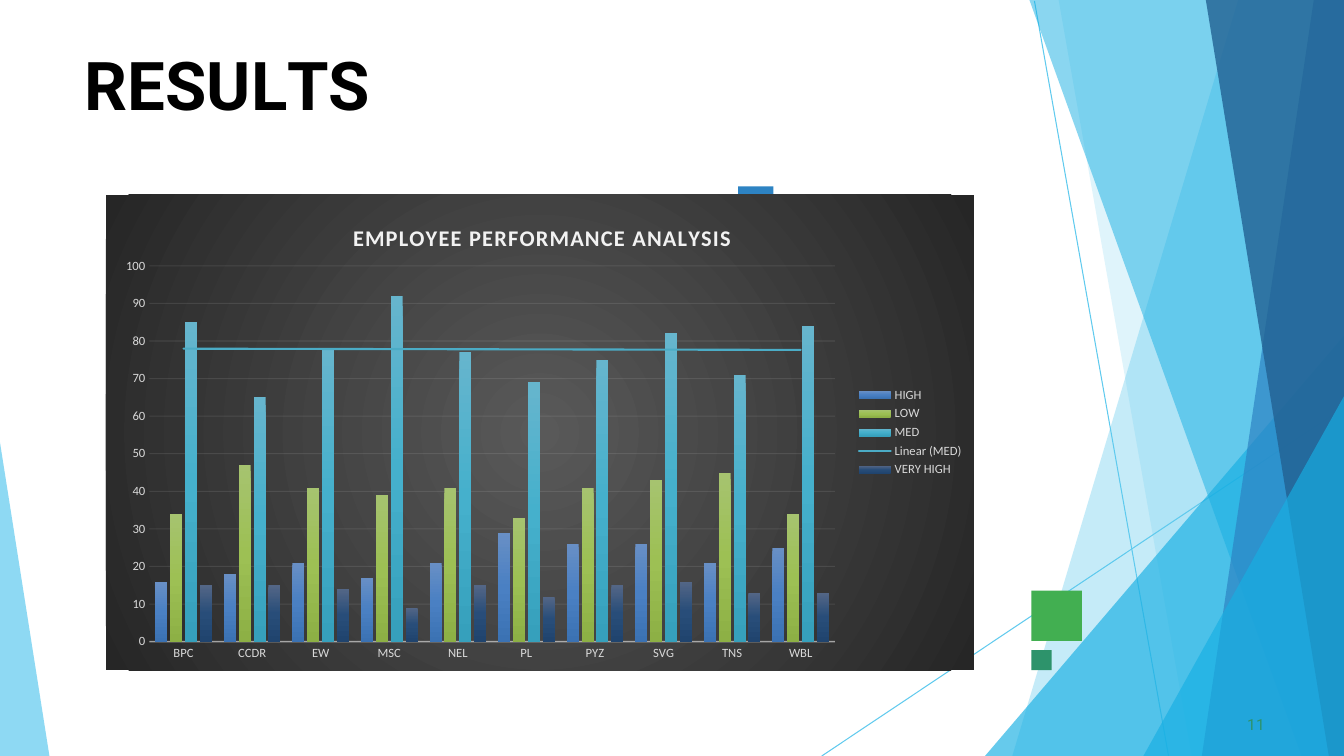
from dataclasses import dataclass

from lxml.etree import SubElement
from pptx import Presentation
from pptx.chart.data import CategoryChartData
from pptx.dml.color import RGBColor
from pptx.enum.chart import XL_CHART_TYPE, XL_LEGEND_POSITION, XL_TICK_MARK
from pptx.enum.shapes import MSO_CONNECTOR, MSO_SHAPE
from pptx.oxml import parse_xml
from pptx.oxml.ns import nsdecls, qn
from pptx.util import Inches, Pt

W, H = 13.33, 7.5


@dataclass
class Facet:
    points: list[tuple[float, float]]
    color: str
    alpha: int


@dataclass
class Box:
    left: float
    top: float
    size: float
    color: str


@dataclass
class Series:
    name: str
    vals: list[int]
    stops: list[tuple[int, str]]


@dataclass
class Label:
    left: float
    top: float
    width: float
    height: float
    indent: float
    before: float
    size: int
    color: str
    bold: bool
    runs: list[tuple[str, float]]


RAYS = [(10.26, 0.01, 11.59, H), (W, 4.04, 8.15, H)]
FACETS = [
    Facet([(W, 0), (12.28, 0), (10.04, H), (W, H)], "5FCAEE", 36),
    Facet([(W, 0), (10.5, 0), (11.82, H), (W, H)], "5FCAEE", 20),
    Facet([(W, 3.33), (9.77, H), (W, H)], "17AFE3", 66),
    Facet([(W, 0), (10.21, 0), (12.91, H), (W, H)], "17AFE3", 50),
    Facet([(W, 0), (13.03, 0), (11.92, H), (W, H)], "2D83C3", 70),
    Facet([(W, 0), (11.96, 0), (13.18, H), (W, H)], "226192", 80),
    Facet([(W, 3.93), (11.34, H), (W, H)], "17AFE3", 66),
    Facet([(0, 4.39), (0, H), (0.49, H)], "5FCAEE", 70),
]
BOXES = [
    Box(10.23, 5.86, 0.5, "42AF51"),
    Box(7.32, 1.85, 0.35, "2D83C3"),
    Box(10.23, 6.45, 0.2, "2D936B"),
]
LABELS = [
    Label(0.83, 0.42, 3.98, 0.6, 0.01, 1.1, 48, "000000", True,
          [("R", 0), ("E", -0.4), ("S", 0.1), ("U", -0.3), ("L", -4), ("TS", 0)]),
    Label(12.33, 7.08, 0.25, 0.15, 0.04, 0.6, 11, "2D936B", False, [("11", 0.1)]),
]
CATS = ["BPC", "CCDR", "EW", "MSC", "NEL", "PL", "PYZ", "SVG", "TNS", "WBL"]
SERIES = [
    Series("HIGH", [16, 18, 21, 17, 21, 29, 26, 26, 21, 25],
           [(0, "688FC5"), (50, "4A80C3"), (100, "3B72B3")]),
    Series("LOW", [34, 47, 41, 39, 41, 33, 41, 43, 45, 34],
           [(0, "A6C36F"), (50, "9DC054"), (100, "8DB045")]),
    Series("MED", [85, 65, 78, 92, 77, 69, 75, 82, 71, 84],
           [(0, "66B5CD"), (50, "45B0CC"), (100, "36A0BC")]),
    Series("VERY HIGH", [15, 15, 14, 9, 15, 12, 15, 16, 13, 13],
           [(0, "536686"), (50, "284D79"), (100, "20446E")]),
]
LINEAR = '<a:lin ang="5400000" scaled="0"/>'
RADIAL = ('<a:path path="circle"><a:fillToRect l="50000" t="50000" '
          'r="50000" b="50000"/></a:path>')


def rgb(color: str) -> RGBColor:
    return RGBColor.from_string(color)


def paint(fill, color: str, alpha: int = 100) -> None:
    """Fill with one colour at the given opacity in percent."""
    fill.solid()
    fill.fore_color.rgb = rgb(color)
    if alpha < 100:
        node = fill._xPr.find(".//" + qn("a:srgbClr"))
        SubElement(node, qn("a:alpha")).set("val", str(alpha * 1000))


def blend(stops: list[tuple[int, str]], shade: str) -> str:
    """Return gradient fill XML."""
    marks = "".join(f'<a:gs pos="{pos * 1000}"><a:srgbClr val="{color}"/></a:gs>'
                    for pos, color in stops)
    return f'<a:gradFill {nsdecls("a")}><a:gsLst>{marks}</a:gsLst>{shade}</a:gradFill>'


def add_ray(shapes, ends: tuple[float, float, float, float]) -> None:
    ray = shapes.add_connector(MSO_CONNECTOR.STRAIGHT, *map(Inches, ends))
    paint(ray.line.fill, "5FCAEE")
    ray.line.width = Pt(0.75)
    SubElement(ray._element.spPr, qn("a:effectLst"))


def finish(shape, color: str, alpha: int = 100) -> None:
    paint(shape.fill, color, alpha)
    shape.line.fill.background()
    shape.shadow.inherit = False


def add_facet(shapes, facet: Facet) -> None:
    first, *rest = [(Inches(x), Inches(y)) for x, y in facet.points]
    form = shapes.build_freeform(*first)
    form.add_line_segments(rest, close=True)
    finish(form.convert_to_shape(), facet.color, facet.alpha)


def add_box(shapes, box: Box) -> None:
    place = map(Inches, (box.left, box.top, box.size, box.size))
    finish(shapes.add_shape(MSO_SHAPE.RECTANGLE, *place), box.color)


def add_label(shapes, label: Label) -> None:
    place = map(Inches, (label.left, label.top, label.width, label.height))
    frame = shapes.add_textbox(*place).text_frame
    frame.word_wrap = True
    frame.margin_left = frame.margin_right = frame.margin_bottom = 0
    frame.margin_top = Inches(0.01)
    para = frame.paragraphs[0]
    para.space_before = Pt(label.before)
    para._p.get_or_add_pPr().set("marL", str(Inches(label.indent)))
    for text, gap in label.runs:
        run = para.add_run()
        run.text = text
        style(run.font, label.size, label.color, "Roboto", label.bold, gap)


def style(font, size: float, color: str, name: str = "Calibri",
          bold: bool = False, gap: float = 0) -> None:
    font.size, font.name, font.bold = Pt(size), name, bold
    font.color.rgb = rgb(color)
    if gap:
        font._element.set("spc", str(round(gap * 100)))


def set_place(parent, **parts: float) -> None:
    """Give a chart title or plot area a fixed place, in shares of the chart."""
    inner = '<c:layoutTarget val="inner"/>' if "w" in parts else ""
    modes = "".join(f'<c:{key}Mode val="edge"/>' for key in "xy")
    sizes = "".join(f'<c:{key} val="{val}"/>' for key, val in parts.items())
    for old in parent.findall(qn("c:layout")):
        parent.remove(old)
    text = parent.find(qn("c:tx"))
    parent.insert(0 if text is None else 1, parse_xml(
        f'<c:layout {nsdecls("c")}><c:manualLayout>{inner}{modes}{sizes}'
        '</c:manualLayout></c:layout>'))


def add_trend(series) -> None:
    series._element.find(qn("c:cat")).addprevious(parse_xml(
        f'<c:trendline {nsdecls("c", "a")}><c:spPr><a:ln w="19050" cap="rnd"><a:solidFill>'
        '<a:srgbClr val="4BACC6"/></a:solidFill></a:ln></c:spPr>'
        '<c:trendlineType val="linear"/><c:dispRSqr val="0"/><c:dispEq val="0"/>'
        '</c:trendline>'))


def add_graph(shapes) -> None:
    data = CategoryChartData()
    data.categories = CATS
    for item in SERIES:
        data.add_series(item.name, item.vals)
    place = map(Inches, (1.05, 1.93, 8.61, 4.72))
    chart = shapes.add_chart(XL_CHART_TYPE.COLUMN_CLUSTERED, *place, data).chart
    style(chart.font, 10, "000000")
    root = chart.element
    root.find(qn("c:txPr")).addprevious(parse_xml(
        f'<c:spPr {nsdecls("c", "a")}>{blend([(0, "595959"), (100, "262626")], RADIAL)}'
        '<a:ln><a:noFill/></a:ln></c:spPr>'))

    chart.has_title = True
    run = chart.chart_title.text_frame.paragraphs[0].add_run()
    run.text = "EMPLOYEE PERFORMANCE ANALYSIS"
    style(run.font, 16, "F2F2F2", bold=True, gap=1)
    set_place(chart.chart_title._element, x=0.28, y=0.05)
    set_place(root.find(".//" + qn("c:plotArea")), x=0.05, y=0.15, w=0.79, h=0.79)

    chart.has_legend = True
    chart.legend.position = XL_LEGEND_POSITION.RIGHT
    chart.legend.include_in_layout = False
    style(chart.legend.font, 9, "D9D9D9")

    cat, val = chart.category_axis, chart.value_axis
    for axis in (cat, val):
        axis.major_tick_mark = axis.minor_tick_mark = XL_TICK_MARK.NONE
        style(axis.tick_labels.font, 9, "D9D9D9")
    paint(cat.format.line.fill, "F2F2F2", 54)
    cat.format.line.width = Pt(1)
    val.format.line.fill.background()
    val.minimum_scale, val.maximum_scale, val.major_unit = 0, 100, 10
    grid = val.major_gridlines.format.line
    paint(grid.fill, "F2F2F2", 10)
    grid.width = Pt(0.75)

    plot = chart.plots[0]
    plot.gap_width, plot.overlap, plot.vary_by_categories = 100, -24, False
    for series, item in zip(plot.series, SERIES):
        series._element.get_or_add_spPr().insert(0, parse_xml(blend(item.stops, LINEAR)))
        if item.name == "MED":
            add_trend(series)


def main() -> None:
    deck = Presentation()
    deck.slide_width, deck.slide_height = Inches(W), Inches(H)
    shapes = deck.slides.add_slide(deck.slide_layouts[6]).shapes
    for draw, items in ((add_ray, RAYS), (add_facet, FACETS),
                        (add_box, BOXES), (add_label, LABELS)):
        for item in items:
            draw(shapes, item)
    add_graph(shapes)
    deck.save("out.pptx")


if __name__ == "__main__":
    main()
